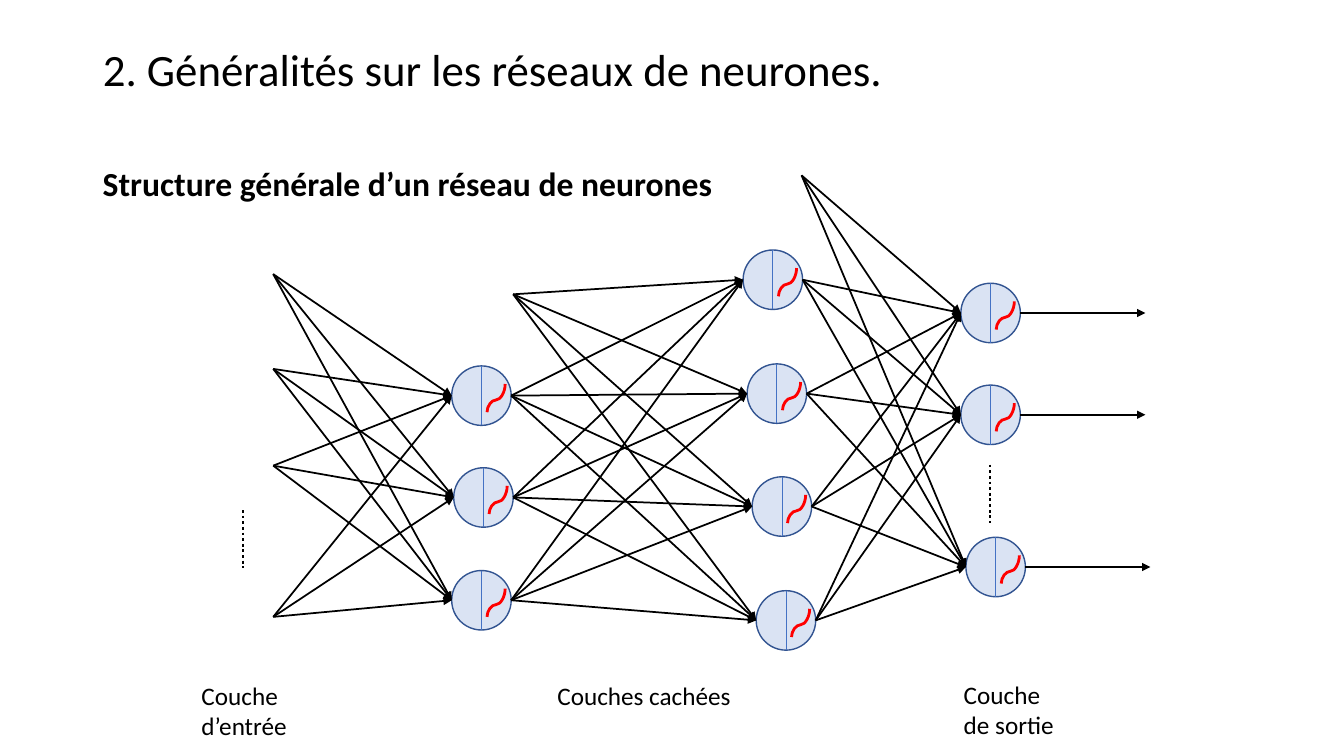
from itertools import product

from lxml.etree import SubElement
from pptx import Presentation
from pptx.dml.color import RGBColor
from pptx.enum.dml import MSO_LINE
from pptx.enum.shapes import MSO_CONNECTOR, MSO_SHAPE
from pptx.enum.text import MSO_ANCHOR, MSO_AUTO_SIZE, PP_ALIGN
from pptx.oxml.ns import qn
from pptx.util import Inches, Pt

BLACK = RGBColor(0x00, 0x00, 0x00)
RED = RGBColor(0xFF, 0x00, 0x00)
BLUE = RGBColor(0x44, 0x72, 0xC4)
OUTLINE = RGBColor(0x32, 0x54, 0x91)
NEURON_FILL = RGBColor(0xDA, 0xE3, 0xF3)

DIAMETER = 0.59
CIRCLE_LEFT, CIRCLE_RIGHT = 2, 6
OUTPUT_LENGTH = 1.24

INPUTS = [(2.71, 2.72), (2.71, 3.66), (2.71, 4.62), (2.71, 6.12)]
FIRST_HIDDEN = [(4.48, 3.63), (4.5, 4.64), (4.48, 5.66)]
SECOND_HIDDEN = [(7.37, 2.48), (7.41, 3.61), (7.46, 4.73), (7.5, 5.86)]
OUTPUTS = [(9.53, 2.81), (9.53, 3.82), (9.58, 5.33)]
FIRST_BIAS = (5.09, 2.92)
SECOND_BIAS = (7.95, 1.74)


def write_text(frame, text, size=18, bold=False, anchor=MSO_ANCHOR.TOP, line_spacing=1.0):
    frame.word_wrap = True
    frame.auto_size = MSO_AUTO_SIZE.NONE
    frame.vertical_anchor = anchor
    paragraph = frame.paragraphs[0]
    paragraph.text = text
    paragraph.alignment = PP_ALIGN.LEFT
    paragraph.line_spacing = line_spacing
    paragraph.font.name = "Calibri"
    paragraph.font.size = Pt(size)
    paragraph.font.bold = bold
    paragraph.font.color.rgb = BLACK


def add_title(slide, text):
    title = slide.shapes.title
    title.left, title.top = Inches(0.92), Inches(0.4)
    title.width, title.height = Inches(11.5), Inches(0.63)
    write_text(title.text_frame, text, size=32, anchor=MSO_ANCHOR.MIDDLE, line_spacing=0.9)


def add_label(slide, text, left, top, width, height, **text_format):
    label = slide.shapes.add_textbox(Inches(left), Inches(top), Inches(width), Inches(height))
    write_text(label.text_frame, text, **text_format)


def add_line(slide, start, end, color=BLACK, width=1.25, kind=MSO_CONNECTOR.STRAIGHT):
    line = slide.shapes.add_connector(kind, *(Inches(value) for value in (*start, *end)))
    line.line.color.rgb = color
    line.line.width = Pt(width)
    SubElement(line._element.spPr, qn("a:effectLst"))
    return line


def add_dots(slide, x, top, bottom):
    add_line(slide, (x, top), (x, bottom), width=2).line.dash_style = MSO_LINE.ROUND_DOT


def add_activation_curve(slide, left, top):
    curve = add_line(slide, (left + 0.58, top + 0.41), (left + 0.3, top + 0.23),
                     color=RED, width=2, kind=MSO_CONNECTOR.CURVE)
    properties = curve._element.spPr
    properties.find(qn("a:xfrm")).set("rot", "5400000")
    adjustments = properties.find(qn("a:prstGeom")).find(qn("a:avLst"))
    SubElement(adjustments, qn("a:gd"), name="adj1", fmla="val 43500")


def add_neuron(slide, left, top):
    neuron = slide.shapes.add_shape(
        MSO_SHAPE.OVAL, Inches(left), Inches(top), Inches(DIAMETER), Inches(DIAMETER))
    neuron.shadow.inherit = False
    neuron.fill.solid()
    neuron.fill.fore_color.rgb = NEURON_FILL
    neuron.line.color.rgb = OUTLINE
    neuron.line.width = Pt(1)
    add_activation_curve(slide, left, top)
    middle = left + DIAMETER / 2
    add_line(slide, (middle, top), (middle, top + DIAMETER), color=BLUE, width=0.5)
    return neuron


def add_arrow(slide, start, end, source=None, target=None):
    arrow = add_line(slide, start, end)
    if source is not None:
        arrow.begin_connect(source, CIRCLE_RIGHT % 4)
        arrow.begin_x, arrow.begin_y = Inches(start[0]), Inches(start[1])
        connect_site(arrow, "a:stCxn", CIRCLE_RIGHT)
    if target is not None:
        arrow.end_connect(target, CIRCLE_LEFT)
        arrow.end_x, arrow.end_y = Inches(end[0]), Inches(end[1])
    SubElement(arrow.line._get_or_add_ln(), qn("a:tailEnd"), type="triangle")


def connect_site(arrow, tag, site):
    next(arrow._element.iter(qn(tag))).set("idx", str(site))


def left_side(position):
    return position[0], position[1] + DIAMETER / 2


def right_side(position):
    return position[0] + DIAMETER, position[1] + DIAMETER / 2


def add_layer_links(slide, free_starts, source_layer, target_layer):
    starts = [(point, None) for point in free_starts]
    starts += [(right_side(position), neuron) for position, neuron in source_layer]
    for (start, source), (position, target) in product(starts, target_layer):
        add_arrow(slide, start, left_side(position), source, target)


def add_network(slide):
    first, second, outputs = (
        [(position, add_neuron(slide, *position)) for position in layer]
        for layer in (FIRST_HIDDEN, SECOND_HIDDEN, OUTPUTS))
    add_layer_links(slide, INPUTS, [], first)
    add_layer_links(slide, [FIRST_BIAS], first, second)
    add_layer_links(slide, [SECOND_BIAS], second, outputs)
    for position, neuron in outputs:
        x, y = right_side(position)
        add_arrow(slide, (x, y), (x + OUTPUT_LENGTH, y), source=neuron)


def main():
    presentation = Presentation()
    presentation.slide_width, presentation.slide_height = Inches(13.33), Inches(7.5)
    slide = presentation.slides.add_slide(presentation.slide_layouts[5])
    add_title(slide, "2. Généralités sur les réseaux de neurones.")
    add_label(slide, "Structure générale d’un réseau de neurones",
              0.92, 1.57, 11.51, 0.5, size=24, bold=True)
    add_network(slide)
    add_dots(slide, 2.41, 5.06, 5.64)
    add_dots(slide, 9.82, 4.61, 5.19)
    add_label(slide, "Couche d’entrée", 1.9, 6.7, 1.22, 0.71)
    add_label(slide, "Couches cachées", 5.43, 6.7, 2.16, 0.4)
    add_label(slide, "Couche de sortie", 9.46, 6.69, 1.22, 0.71)
    presentation.save("out.pptx")


if __name__ == "__main__":
    main()
